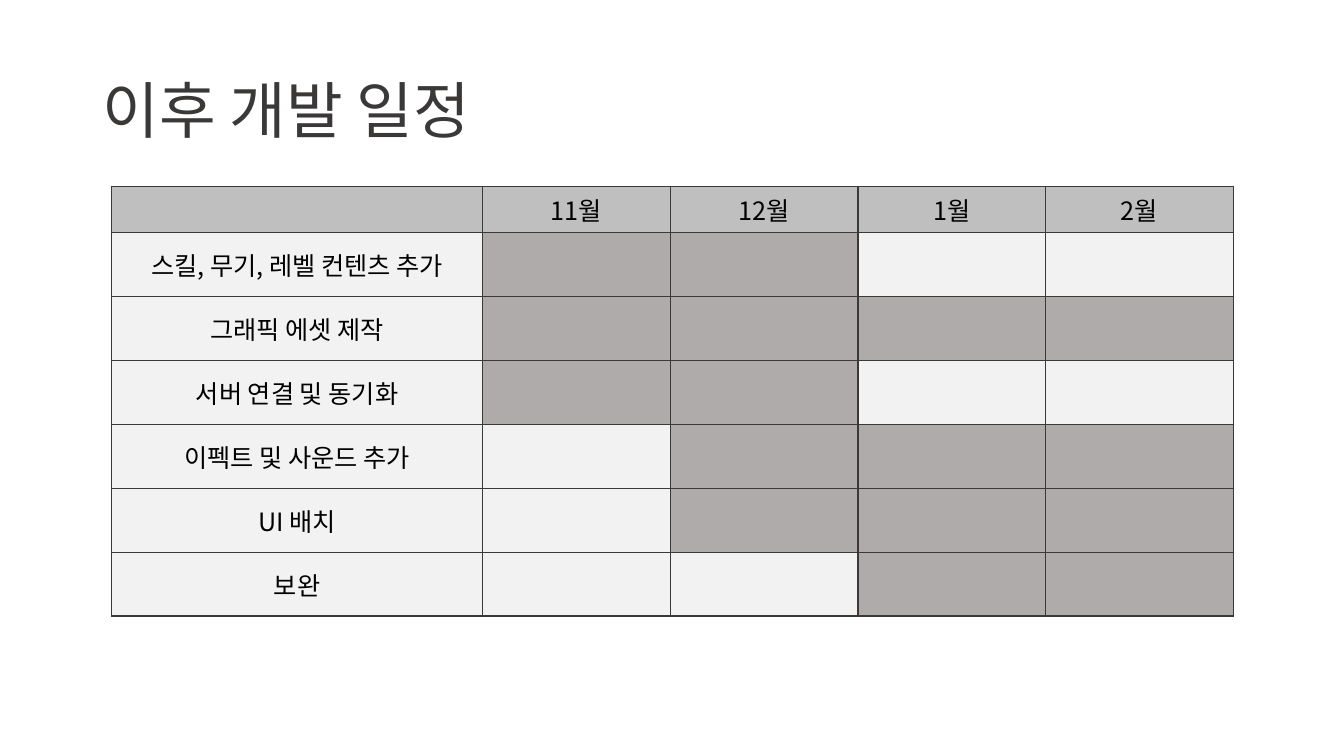
from dataclasses import dataclass

from lxml import etree
from pptx import Presentation, util as u
from pptx.dml import color
from pptx.enum import text
from pptx.oxml import ns


@dataclass(frozen=True)
class Theme:
    font: str = "Noto Sans CJK KR"
    title_size: int = 44
    cell_size: int = 18
    ink: str = "3B3838"
    label: str = "000000"
    header: str = "BFBFBF"
    idle: str = "F2F2F2"
    busy: str = "AFABAB"
    border_width: float = 1


MONTHS = ["11월", "12월", "1월", "2월"]
TASKS = [
    ("스킬, 무기, 레벨 컨텐츠 추가", 0, 1),
    ("그래픽 에셋 제작", 0, 3),
    ("서버 연결 및 동기화", 0, 1),
    ("이펙트 및 사운드 추가", 1, 3),
    ("UI 배치", 1, 3),
    ("보완", 2, 3),
]


def write(frame, content, *, font, size, ink, align, spacing=1.0):
    paragraph = frame.paragraphs[0]
    paragraph.alignment = align
    paragraph.line_spacing = spacing
    run = paragraph.add_run()
    run.text = content
    run.font.name = font
    run.font.size = u.Pt(size)
    run.font.color.rgb = color.RGBColor.from_string(ink)
    east_asian = etree.SubElement(run.font._element, ns.qn("a:ea"))
    east_asian.set("typeface", font)


class ScheduleSlide:
    def __init__(self, deck, theme):
        self.theme = theme
        self.slide = deck.slides.add_slide(deck.slide_layouts[5])

    def title(self, content, left, top, width, height):
        heading = self.slide.shapes.title
        heading.left, heading.top = u.Cm(left), u.Cm(top)
        heading.width, heading.height = u.Cm(width), u.Cm(height)
        frame = heading.text_frame
        frame.word_wrap = True
        frame.vertical_anchor = text.MSO_ANCHOR.MIDDLE
        write(frame, content, font=self.theme.font, size=self.theme.title_size,
              ink=self.theme.ink, align=text.PP_ALIGN.LEFT, spacing=0.9)

    def borders(self, cell):
        properties = cell._tc.get_or_add_tcPr()
        for position, side in enumerate(("lnL", "lnR", "lnT", "lnB")):
            line = etree.Element(ns.qn(f"a:{side}"), w=str(u.Pt(self.theme.border_width)))
            fill = etree.SubElement(line, ns.qn("a:solidFill"))
            etree.SubElement(fill, ns.qn("a:srgbClr"), val=self.theme.ink)
            properties.insert(position, line)

    def cell(self, cell, content, fill):
        cell.fill.solid()
        cell.fill.fore_color.rgb = color.RGBColor.from_string(fill)
        cell.vertical_anchor = text.MSO_ANCHOR.MIDDLE
        self.borders(cell)
        if content:
            write(cell.text_frame, content, font=self.theme.font,
                  size=self.theme.cell_size, ink=self.theme.label,
                  align=text.PP_ALIGN.CENTER)

    def schedule(self, months, tasks, left, top, task_width, month_width,
                 header_height, task_height):
        widths = [task_width] + [month_width] * len(months)
        heights = [header_height] + [task_height] * len(tasks)
        table = self.slide.shapes.add_table(
            len(heights), len(widths), u.Cm(left), u.Cm(top),
            u.Cm(sum(widths)), u.Cm(sum(heights))).table
        for column, width in zip(table.columns, widths):
            column.width = u.Cm(width)
        for row, height in zip(table.rows, heights):
            row.height = u.Cm(height)

        for column, month in enumerate(["", *months]):
            self.cell(table.cell(0, column), month, self.theme.header)
        for row, (task, first, last) in enumerate(tasks, 1):
            self.cell(table.cell(row, 0), task, self.theme.idle)
            for month in range(len(months)):
                fill = self.theme.busy if first <= month <= last else self.theme.idle
                self.cell(table.cell(row, month + 1), "", fill)


def main():
    deck = Presentation()
    deck.slide_width, deck.slide_height = u.Cm(33.87), u.Cm(19.05)
    page = ScheduleSlide(deck, Theme())
    page.title("이후 개발 일정", 2.33, 1.01, 29.21, 3.68)
    page.schedule(MONTHS, TASKS, left=2.81, top=4.69, task_width=9.35,
                  month_width=4.73, header_height=1.09, task_height=1.61)
    deck.save("out.pptx")


if __name__ == "__main__":
    main()
